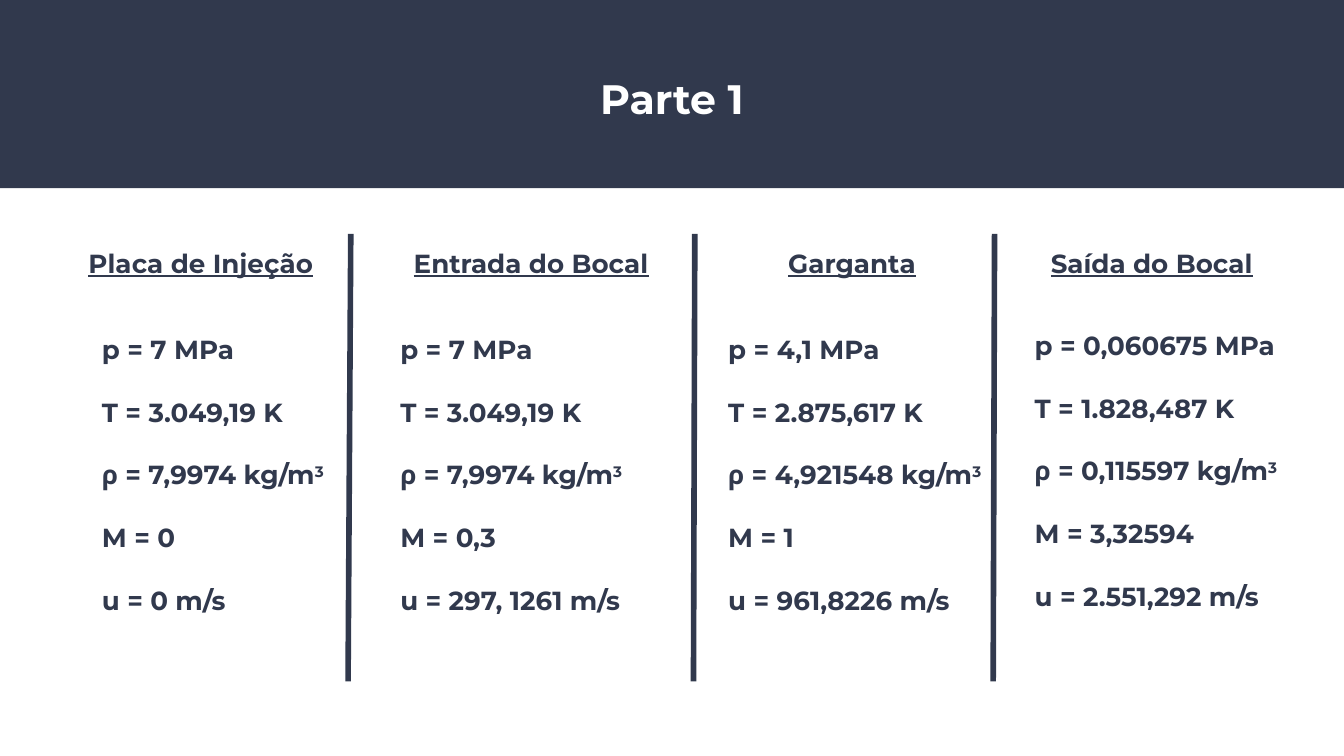
from lxml import etree
from pptx import Presentation
from pptx import util as u
from pptx.dml.color import RGBColor
from pptx.enum import shapes, text
from pptx.oxml.ns import qn

NAVY, WHITE = "31394D", "FFFFFF"
FONT = "Montserrat"

# Content: one entry per engine station; "^" starts a superscript
TITLE = "Parte 1"
STATIONS = [
    {"name": "Placa de Injeção", "head": (0.56, 2.12), "align": "LEFT",
     "values": (0.66, 2.38),
     "lines": ["p = 7 MPa", "T = 3.049,19 K", "ρ = 7,9974 kg/m^3",
               "M = 0", "u = 0 m/s"]},
    {"name": "Entrada do Bocal", "head": (2.98, 2.19), "align": "LEFT",
     "values": (2.88, 2.38),
     "lines": ["p = 7 MPa", "T = 3.049,19 K", "ρ = 7,9974 kg/m^3",
               "M = 0,3", "u = 297, 1261 m/s"]},
    {"name": "Garganta", "head": (5.41, 1.86), "align": "CENTER",
     "values": (5.32, 2.38),
     "lines": ["p = 4,1 MPa", "T = 2.875,617 K", "ρ = 4,921548 kg/m^3",
               "M = 1", "u = 961,8226 m/s"]},
    {"name": "Saída do Bocal", "head": (7.72, 1.86), "align": "LEFT",
     "values": (7.6, 2.35),
     "lines": ["p = 0,060675 MPa", "T = 1.828,487 K", "ρ = 0,115597 kg/m^3",
               "M = 3,32594", "u = 2.551,292 m/s"]},
]
DIVIDERS = [(2.61, 2.59), (5.17, 5.16), (7.4, 7.39)]  # x at top, x at bottom
DIVIDER_TOP, DIVIDER_BOTTOM = 1.74, 5.07

# Widescreen page, 16:9
deck = Presentation()
deck.slide_width = u.Inches(10)
deck.slide_height = deck.slide_width * 9 // 16
page = deck.slides.add_slide(deck.slide_layouts[6])


def color(value):
    return RGBColor.from_string(value)


def add_text(lines, left, top, width, height, size=14, fill=NAVY,
             align="LEFT", underline=None, gap=0):
    box = page.shapes.add_textbox(*map(u.Inches, (left, top, width, height)))
    frame = box.text_frame
    frame.word_wrap = True
    frame.vertical_anchor = text.MSO_ANCHOR.TOP
    frame.margin_left = frame.margin_right = u.Inches(0.1)
    frame.margin_top = frame.margin_bottom = u.Inches(0.1)
    for index, line in enumerate(lines):
        para = frame.paragraphs[0] if index == 0 else frame.add_paragraph()
        para.alignment = getattr(text.PP_ALIGN, align)
        if index:
            para.space_before = u.Pt(gap)
        for part, words in enumerate(line.split("^")):
            span = para.add_run()
            span.text = words
            span.font.name = FONT
            span.font.size = u.Pt(size)
            span.font.bold = True
            span.font.underline = underline
            span.font.color.rgb = color(fill)
            if part:
                span._r.get_or_add_rPr().set("baseline", "30000")


# Title band
band = page.shapes.add_shape(shapes.MSO_SHAPE.RECTANGLE, 0, 0,
                             deck.slide_width, u.Inches(1.4))
band.shadow.inherit = False
band.fill.solid()
band.fill.fore_color.rgb = color(NAVY)
band.line.fill.background()
add_text([TITLE], 2.73, 0.45, 4.54, 0.57, size=22, fill=WHITE, align="CENTER")

# Station headings and values
for station in STATIONS:
    left, width = station["head"]
    add_text([station["name"]], left, 1.74, width, 0.44,
             align=station["align"], underline=True)
    left, top = station["values"]
    add_text(station["lines"], left, top, 2.12, 2.56, gap=16.8)

# Dividers between stations
for x_top, x_bottom in DIVIDERS:
    divider = page.shapes.add_connector(
        shapes.MSO_CONNECTOR.STRAIGHT,
        *map(u.Inches, (x_top, DIVIDER_TOP, x_bottom, DIVIDER_BOTTOM)))
    divider.line.color.rgb = color(NAVY)
    divider.line.width = u.Pt(3)
    etree.SubElement(divider._element.spPr, qn("a:effectLst"))

deck.save("out.pptx")
